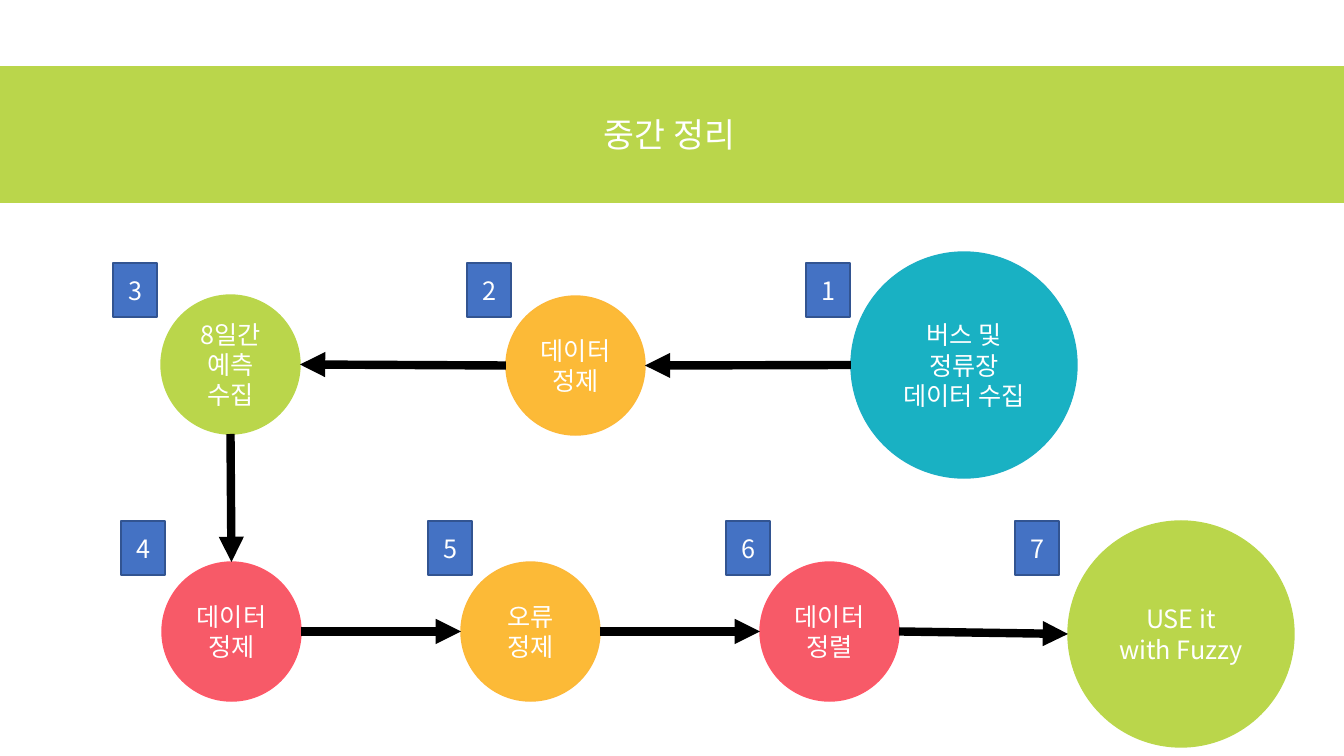
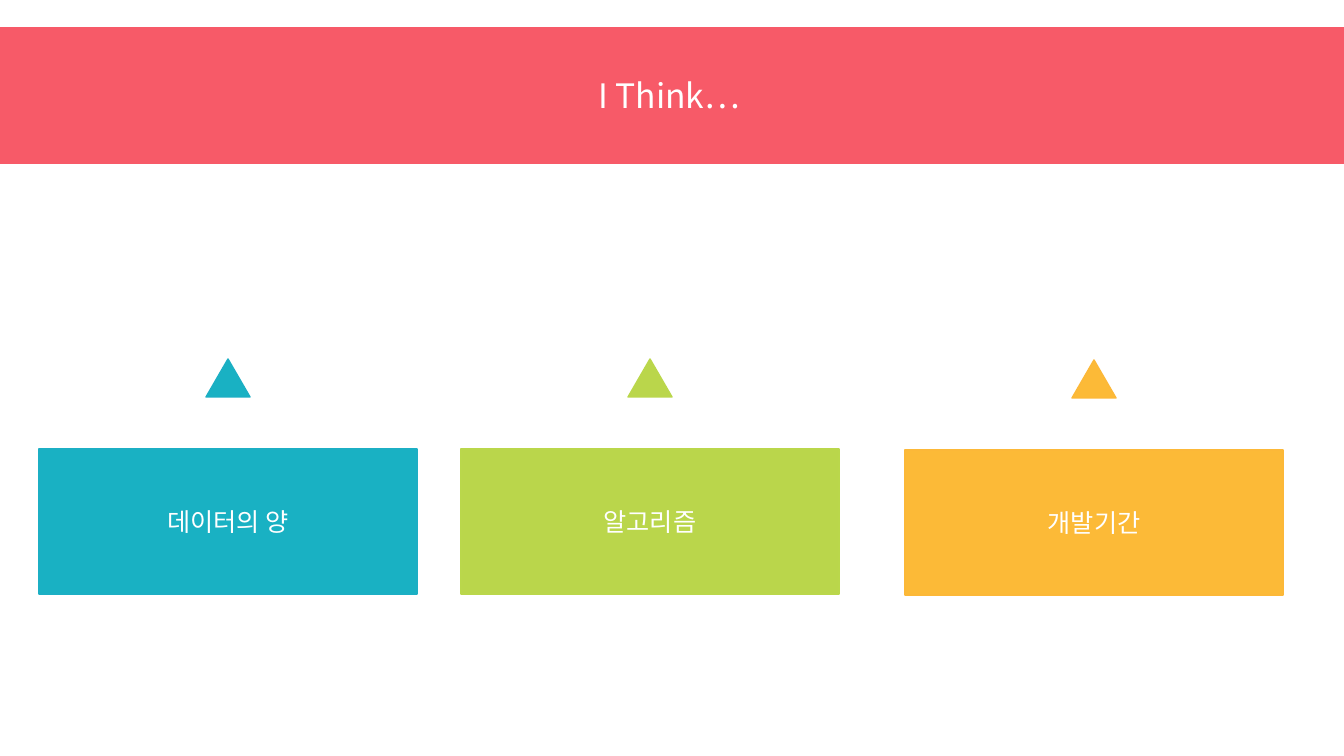
from lxml.etree import SubElement
from pptx import Presentation
from pptx.dml.color import RGBColor
from pptx.enum.shapes import MSO_CONNECTOR as CONNECTOR, MSO_SHAPE as SHAPE
from pptx.enum.text import MSO_ANCHOR as ANCHOR, MSO_AUTO_SIZE as AUTO_SIZE, PP_ALIGN as ALIGN
from pptx.oxml.ns import qn
from pptx.util import Pt

PIXEL = 914400 / 100.8
FONT = "Noto Sans CJK KR"
WHITE, BLACK = "FFFFFF", "000000"
# Each colour is a fill with its outline.
GREEN = ("BAD64B", "BAD74B")
ORANGE = ("FCBA37", "FCB838")
RED = ("F75A68", "FE5767")
TEAL = ("19B1C3", "1CAFC4")
BLUE = ("4472C4", "325491")
LEFT, RIGHT, DOWN = (-1, 0), (1, 0), (0, 1)


def paint(fill, color):
    """Make a fill solid in the given hex colour."""
    fill.solid()
    fill.fore_color.rgb = RGBColor.from_string(color)


def style(shape, box, colors, text="", size=18):
    """Place a shape by pixels and give it its colours and centred white text."""
    shape.left, shape.top, shape.width, shape.height = [round(value * PIXEL) for value in box]
    shape.shadow.inherit = False
    paint(shape.fill, colors[0])
    paint(shape.line.fill, colors[1])
    shape.line.width = Pt(1)
    frame = shape.text_frame
    frame.text = text
    frame.word_wrap = True
    frame.auto_size = AUTO_SIZE.NONE
    frame.vertical_anchor = ANCHOR.MIDDLE
    for paragraph in frame.paragraphs:
        paragraph.alignment = ALIGN.CENTER
        for run in paragraph.runs:
            run.font.size = Pt(size)
            run.font.name = FONT
            paint(run.font.fill, WHITE)
            SubElement(run.font._element, qn("a:ea"), typeface=FONT)


presentation = Presentation()
presentation.slide_width = round(1344 * PIXEL)
presentation.slide_height = round(756 * PIXEL)
title_only = presentation.slide_layouts[5]

slides = []
for title, top, color in [("중간 정리", 67, GREEN[0]), ("I Think…", 28, RED[0])]:
    slide = presentation.slides.add_slide(title_only)
    style(slide.shapes.title, (-5, top, 1349, 135), (color, color), title, 24)
    slides.append(slide)
process_slide, factors_slide = slides

# Process: text, colours, circle left, top and diameter, badge left and top, way to the next step
steps = [
    ("버스 및 정류장 데이터 수집", TEAL, 851, 252, 226, 806, 263, LEFT),
    ("데이터\n정제", ORANGE, 506, 296, 139, 467, 263, LEFT),
    ("8일간\v예측 수집", GREEN, 161, 295, 139, 113, 263, DOWN),
    ("데이터 정제", RED, 162, 562, 139, 121, 521, RIGHT),
    ("오류 정제", ORANGE, 461, 562, 139, 428, 521, RIGHT),
    ("데이터 정렬", RED, 760, 562, 139, 726, 521, RIGHT),
    ("USE it\nwith Fuzzy", GREEN, 1068, 521, 226, 1015, 521, None),
]
shapes = process_slide.shapes
for number, (text, colors, left, top, size, badge_left, badge_top, way) in enumerate(steps, 1):
    circle = shapes.add_shape(SHAPE.OVAL, 0, 0, 0, 0)
    style(circle, (left, top, size, size), colors, text)
    badge = shapes.add_shape(SHAPE.RECTANGLE, 0, 0, 0, 0)
    style(badge, (badge_left, badge_top, 44, 54), BLUE, str(number))

for step, following in zip(steps, steps[1:]):
    left, top, size = step[2:5]
    next_left, next_top, next_size = following[2:5]
    across, down = step[-1]
    ends = (
        left + size * (1 + across) / 2,
        top + size * (1 + down) / 2,
        next_left + next_size * (1 - across) / 2,
        next_top + next_size * (1 - down) / 2,
    )
    arrow = shapes.add_connector(CONNECTOR.STRAIGHT, *[round(value * PIXEL) for value in ends])
    paint(arrow.line.fill, BLACK)
    arrow.line.width = Pt(6)
    SubElement(arrow.line._get_or_add_ln(), qn("a:tailEnd"), type="triangle")
    SubElement(arrow._element.spPr, qn("a:effectLst"))

# Factors: a box with a triangle centred above it
factors = [
    ("데이터의 양", TEAL, 39, 449),
    ("알고리즘", GREEN, 461, 449),
    ("개발기간", ORANGE, 905, 450),
]
box_width, triangle_width = 378, 44
for text, colors, left, top in factors:
    box = factors_slide.shapes.add_shape(SHAPE.RECTANGLE, 0, 0, 0, 0)
    style(box, (left, top, box_width, 145), colors, text)
    triangle = factors_slide.shapes.add_shape(SHAPE.ISOSCELES_TRIANGLE, 0, 0, 0, 0)
    triangle_left = left + (box_width - triangle_width) / 2
    style(triangle, (triangle_left, top - 90, triangle_width, 38), colors)

presentation.save("out.pptx")
